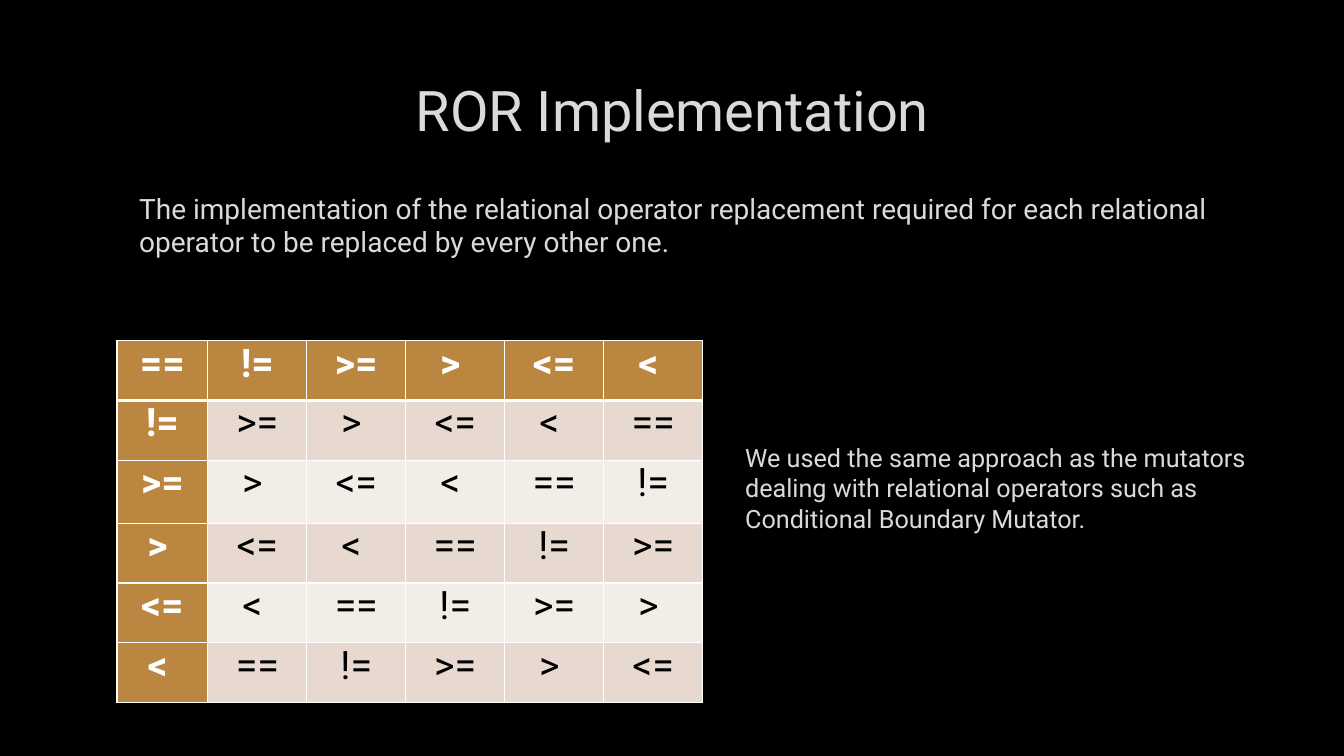
import dataclasses

import lxml.etree
import pptx
import pptx.dml.color
import pptx.enum.text
import pptx.oxml.ns
import pptx.util

ALIGN = pptx.enum.text.PP_ALIGN
ANCHOR = pptx.enum.text.MSO_ANCHOR
OPERATORS = ["==", "!=", ">=", "> ", "<=", "< "]
COLUMN_WEIGHTS = [90, 98, 98, 98, 98, 98]
ROW_WEIGHTS = [59, 59, 62, 59, 59, 59]


@dataclasses.dataclass(frozen=True)
class Theme:
    """Colours, font and type sizes of the slide."""
    font: str = "Roboto"
    background: str = "000000"
    text: str = "DADADA"
    header: str = "BB8640"
    header_text: str = "FFFFFF"
    cell_text: str = "000000"
    bands: tuple = ("F3EDE8", "E7D9CF")
    border: str = "FFFFFF"
    title_size: int = 40
    body_size: int = 20
    note_size: int = 18
    cell_size: int = 28
    thin: int = 1
    thick: int = 3


THEME = Theme()


def rgb(value):
    """Return the colour object for a hex value."""
    return pptx.dml.color.RGBColor.from_string(value)


def apply(target, formats):
    """Set each named attribute of the target."""
    for name, value in formats.items():
        setattr(target, name, value)


def grid_box(prs, left, top, width, height):
    """Turn columns and rows of a 100 by 100 grid into lengths."""
    col, row = prs.slide_width / 100, prs.slide_height / 100
    return [pptx.util.Emu(round(n * unit)) for n, unit in
            ((left, col), (top, row), (width, col), (height, row))]


def write(tf, text, size, color, align, bold=False):
    """Write one formatted paragraph into a text frame."""
    p = tf.paragraphs[0]
    apply(p, {"alignment": align, "line_spacing": 1.0,
              "space_before": pptx.util.Pt(0)})
    r = p.add_run()
    r.text = text
    apply(r.font, {"name": THEME.font, "size": pptx.util.Pt(size), "bold": bold})
    r.font.color.rgb = rgb(color)
    return p


def fill_placeholder(sp, box, text, size, align=ALIGN.LEFT, margin_bottom=None):
    """Place a placeholder in its box and write plain text without a bullet."""
    apply(sp, dict(zip(("left", "top", "width", "height"), box)))
    tf = sp.text_frame
    apply(tf, {"word_wrap": True, "vertical_anchor": ANCHOR.MIDDLE,
               "auto_size": pptx.enum.text.MSO_AUTO_SIZE.NONE})
    if margin_bottom is not None:
        tf.margin_bottom = margin_bottom
    p = write(tf, text, size, THEME.text, align)
    pPr = p._p.get_or_add_pPr()
    pPr.set("marL", "0")
    pPr.set("indent", "0")
    lxml.etree.SubElement(pPr, pptx.oxml.ns.qn("a:buNone"))


def set_borders(cell, top, bottom):
    """Draw the four borders of a cell with the given top and bottom widths."""
    widths = {"L": THEME.thin, "R": THEME.thin, "T": top, "B": bottom}
    for i, (side, width) in enumerate(widths.items()):
        ln = lxml.etree.Element(pptx.oxml.ns.qn(f"a:ln{side}"), w=str(pptx.util.Pt(width)))
        fill = lxml.etree.SubElement(ln, pptx.oxml.ns.qn("a:solidFill"))
        lxml.etree.SubElement(fill, pptx.oxml.ns.qn("a:srgbClr"), val=THEME.border)
        cell._tc.get_or_add_tcPr().insert(i, ln)


def format_cell(cell, row, col, inset):
    """Write, fill and border the operator cell at a row and column."""
    head = row == 0 or col == 0
    apply(cell, {"margin_left": inset, "margin_right": inset,
                 "margin_top": 0, "margin_bottom": 0,
                 "vertical_anchor": ANCHOR.TOP})
    write(cell.text_frame, OPERATORS[(row + col) % len(OPERATORS)], THEME.cell_size,
          THEME.header_text if head else THEME.cell_text, ALIGN.CENTER, head)
    cell.fill.solid()
    cell.fill.fore_color.rgb = rgb(THEME.header if head else THEME.bands[row % 2])
    set_borders(cell, THEME.thick if row == 1 else THEME.thin,
                THEME.thick if row == 0 else THEME.thin)


def operator_table(s, box, inset):
    """Add the table whose rows rotate the operators."""
    count = len(OPERATORS)
    table = s.shapes.add_table(count, count, *box).table
    apply(table, {"first_row": False, "horz_banding": False})
    for col, weight in zip(table.columns, COLUMN_WEIGHTS):
        col.width = round(box[2] * weight / sum(COLUMN_WEIGHTS))
    for row, weight in zip(table.rows, ROW_WEIGHTS):
        row.height = round(box[3] * weight / sum(ROW_WEIGHTS))
    for i in range(count):
        for j in range(count):
            format_cell(table.cell(i, j), i, j, inset)


def implementation_slide(prs):
    """Build the slide with title, introduction, operator table and note."""
    s = prs.slides.add_slide(prs.slide_layouts[3])
    s.background.fill.solid()
    s.background.fill.fore_color.rgb = rgb(THEME.background)
    title, body, note = s.placeholders
    fill_placeholder(title, grid_box(prs, 6.9, 4.8, 86.25, 19.33),
                     "ROR Implementation", THEME.title_size, ALIGN.CENTER)
    fill_placeholder(body, grid_box(prs, 9.6, 21.07, 88.45, 17.33),
                     "The implementation of the relational operator replacement "
                     "required for each relational operator to be replaced by "
                     "every other one.", THEME.body_size)
    operator_table(s, grid_box(prs, 8.7, 45.07, 43.58, 47.87),
                   round(prs.slide_width * 0.0128))
    fill_placeholder(note, grid_box(prs, 54.69, 40, 44.33, 53.07),
                     "We used the same approach as the mutators dealing with "
                     "relational operators such as Conditional Boundary Mutator.",
                     THEME.note_size, margin_bottom=round(prs.slide_height * 0.047))


def main():
    """Create and save the presentation."""
    prs = pptx.Presentation()
    apply(prs, {"slide_width": pptx.util.Inches(13.33),
                "slide_height": pptx.util.Inches(7.5)})
    implementation_slide(prs)
    prs.save("out.pptx")


if __name__ == "__main__":
    main()
